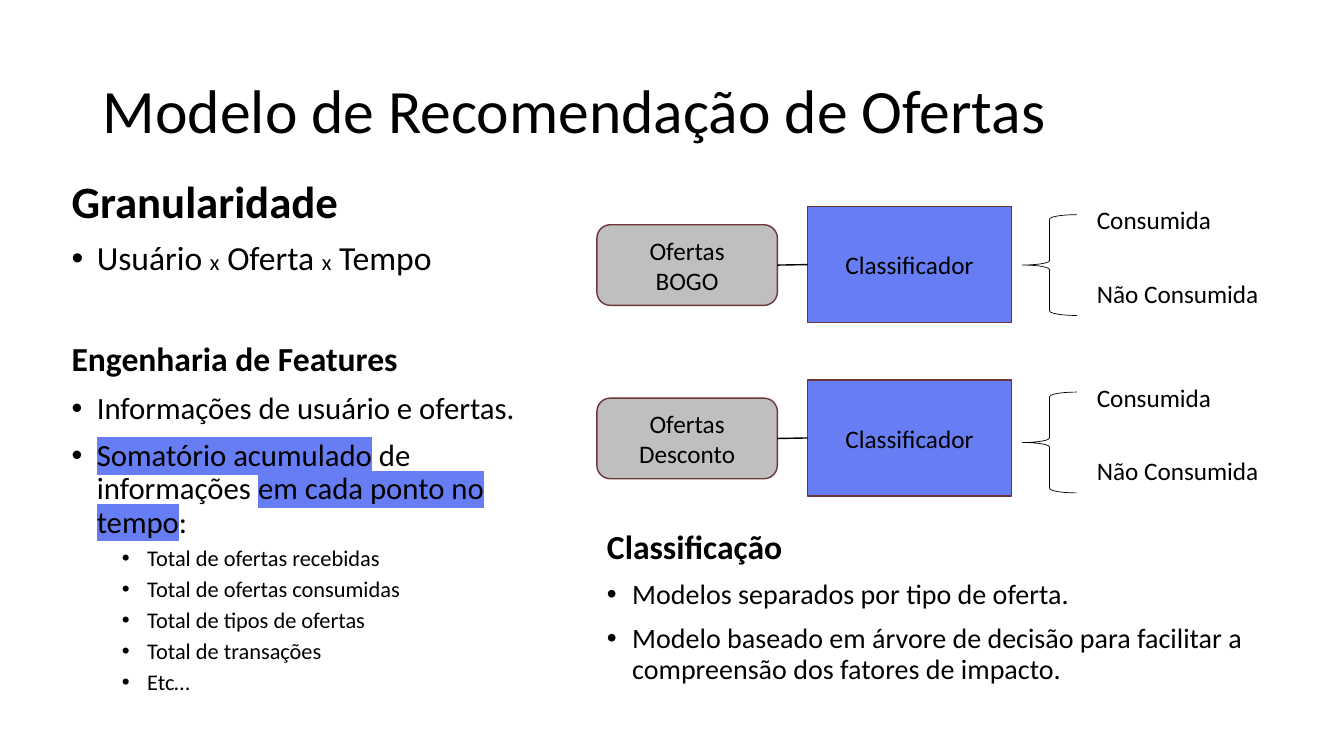
import pptx
import pptx.util
import pptx.dml.color
import pptx.enum.shapes
import pptx.enum.text
import pptx.oxml.ns
from lxml import etree

Inches = pptx.util.Inches
Pt = pptx.util.Pt
RGBColor = pptx.dml.color.RGBColor
Shapes = pptx.enum.shapes.MSO_SHAPE
Align = pptx.enum.text.PP_ALIGN
Anchor = pptx.enum.text.MSO_ANCHOR
AutoSize = pptx.enum.text.MSO_AUTO_SIZE
qn = pptx.oxml.ns.qn

FONT = "Calibri"
BLACK = RGBColor(0x00, 0x00, 0x00)
BLUE = RGBColor(0x66, 0x7D, 0xF3)
GRAY = RGBColor(0xBF, 0xBF, 0xBF)
MAROON = RGBColor(0x6B, 0x35, 0x39)

# Each paragraph: kind, size, space before, runs of (text, size or None, highlighted)
FEATURES = [
    ("heading", 32, 10, [("Granularidade", None, False)]),
    ("bullet", 24, 10, [("Usuário ", None, False), ("x", 16, False),
                        (" Oferta ", None, False), ("x", 16, False),
                        (" Tempo", None, False)]),
    ("heading", 24, 46, [("Engenharia de Features", None, False)]),
    ("bullet", 22, 10, [("Informações de usuário e ofertas.", None, False)]),
    ("bullet", 22, 10, [("Somatório acumulado", None, True),
                        (" de informações ", None, False),
                        ("em cada ponto no tempo", None, True),
                        (":", None, False)]),
] + [("detail", 16, 5, [(text, None, False)]) for text in (
    "Total de ofertas recebidas", "Total de ofertas consumidas",
    "Total de tipos de ofertas", "Total de transações", "Etc…")]

CLASSIFICATION = [
    ("heading", 24, 10, [("Classificação", None, False)]),
    ("bullet", 20, 10, [("Modelos separados por tipo de oferta.", None, False)]),
    ("bullet", 20, 10, [("Modelo baseado em árvore de decisão para facilitar a "
                         "compreensão dos fatores de impacto.", None, False)]),
]

# Left indent in inches; headings carry no bullet
INDENTS = {"heading": 0, "bullet": 0.25, "detail": 0.75}


def place(shape, left, top, width, height):
    shape.left, shape.top = Inches(left), Inches(top)
    shape.width, shape.height = Inches(width), Inches(height)


def format_run(run, size, bold=False):
    run.font.name = FONT
    run.font.size = Pt(size)
    run.font.bold = bold
    run.font.color.rgb = BLACK


def highlight(run):
    mark = etree.Element(qn("a:highlight"))
    etree.SubElement(mark, qn("a:srgbClr"), val=str(BLUE))
    run.font._element.find(qn("a:solidFill")).addnext(mark)


def set_bullet(paragraph, kind):
    properties = paragraph._p.get_or_add_pPr()
    properties.set("marL", str(Inches(INDENTS[kind])))
    if kind == "heading":
        properties.set("indent", "0")
        etree.SubElement(properties, qn("a:buNone"))
    else:
        properties.set("indent", str(-Inches(0.25)))
        etree.SubElement(properties, qn("a:buFont"), typeface="Arial")
        etree.SubElement(properties, qn("a:buChar"), char="•")


def fill_title(title, text):
    place(title, 0.92, 0.4, 11.5, 1.45)
    frame = title.text_frame
    frame.text = text
    frame.auto_size = AutoSize.NONE
    frame.vertical_anchor = Anchor.MIDDLE
    paragraph = frame.paragraphs[0]
    paragraph.alignment = Align.LEFT
    paragraph.line_spacing = 0.9
    format_run(paragraph.runs[0], 44)


def fill_body(body, box, content):
    place(body, *box)
    frame = body.text_frame
    frame.auto_size = AutoSize.NONE
    frame.vertical_anchor = Anchor.TOP
    for index, (kind, size, before, runs) in enumerate(content):
        paragraph = frame.add_paragraph() if index else frame.paragraphs[0]
        paragraph.level = 1 if kind == "detail" else 0
        paragraph.line_spacing = 0.9
        paragraph.space_before = Pt(before)
        paragraph.space_after = Pt(0)
        set_bullet(paragraph, kind)
        for text, own_size, marked in runs:
            run = paragraph.add_run()
            run.text = text
            format_run(run, own_size or size, kind == "heading")
            if marked:
                highlight(run)


def add_box(slide, kind, box, color, text):
    shape = slide.shapes.add_shape(kind, *map(Inches, box))
    shape.shadow.inherit = False
    shape.fill.solid()
    shape.fill.fore_color.rgb = color
    shape.line.color.rgb = MAROON
    shape.line.width = Pt(1)
    frame = shape.text_frame
    frame.text = text
    frame.vertical_anchor = Anchor.MIDDLE
    for paragraph in frame.paragraphs:
        paragraph.alignment = Align.CENTER
        format_run(paragraph.runs[0], 18)
    return shape


def add_link(slide, start, end):
    connector = slide.shapes.add_connector(
        pptx.enum.shapes.MSO_CONNECTOR.STRAIGHT, 0, 0, 0, 0)
    connector.begin_connect(start, 3)
    connector.end_connect(end, 1)
    connector.line.color.rgb = BLACK
    connector.line.width = Pt(1)
    etree.SubElement(connector._element.spPr, qn("a:effectLst"))


def add_brace(slide, top):
    brace = slide.shapes.add_shape(
        Shapes.LEFT_BRACE, Inches(10.14), Inches(top), Inches(0.54), Inches(1))
    brace.shadow.inherit = False
    brace.fill.background()
    brace.line.color.rgb = BLACK
    brace.line.width = Pt(0.5)


def add_label(slide, top, width, text):
    label = slide.shapes.add_textbox(
        Inches(10.78), Inches(top), Inches(width), Inches(0.4))
    frame = label.text_frame
    frame.text = text
    frame.word_wrap = False
    frame.auto_size = AutoSize.SHAPE_TO_FIT_TEXT
    format_run(frame.paragraphs[0].runs[0], 18)


def add_model(slide, row, offer):
    # Offer type feeding its classifier
    shift = 1.72 * row
    source = add_box(slide, Shapes.ROUNDED_RECTANGLE,
                     (5.92, 2.23 + shift, 1.79, 0.8), GRAY, "Ofertas\n" + offer)
    classifier = add_box(slide, Shapes.RECTANGLE,
                         (8.01, 2.05 + shift, 2.02, 1.15), BLUE, "Classificador")
    add_link(slide, source, classifier)

    # Possible outcomes
    shift = 1.76 * row
    add_brace(slide, 2.13 + shift)
    add_label(slide, 1.98 + shift, 1.35, "Consumida")
    add_label(slide, 2.71 + shift, 1.82, "Não Consumida")


def main():
    presentation = pptx.Presentation()
    presentation.slide_width = Inches(13.33)
    presentation.slide_height = Inches(7.5)
    two_content = presentation.slide_layouts[3]
    slide = presentation.slides.add_slide(two_content)

    # Title and lists
    fill_title(slide.shapes.title, "Modelo de Recomendação de Ofertas")
    fill_body(slide.placeholders[1], (0.61, 1.73, 5, 5.21), FEATURES)
    fill_body(slide.placeholders[2], (5.92, 5.21, 6.99, 1.85), CLASSIFICATION)

    # One model per offer type
    for row, offer in enumerate(("BOGO", "Desconto")):
        add_model(slide, row, offer)

    presentation.save("out.pptx")


if __name__ == "__main__":
    main()
